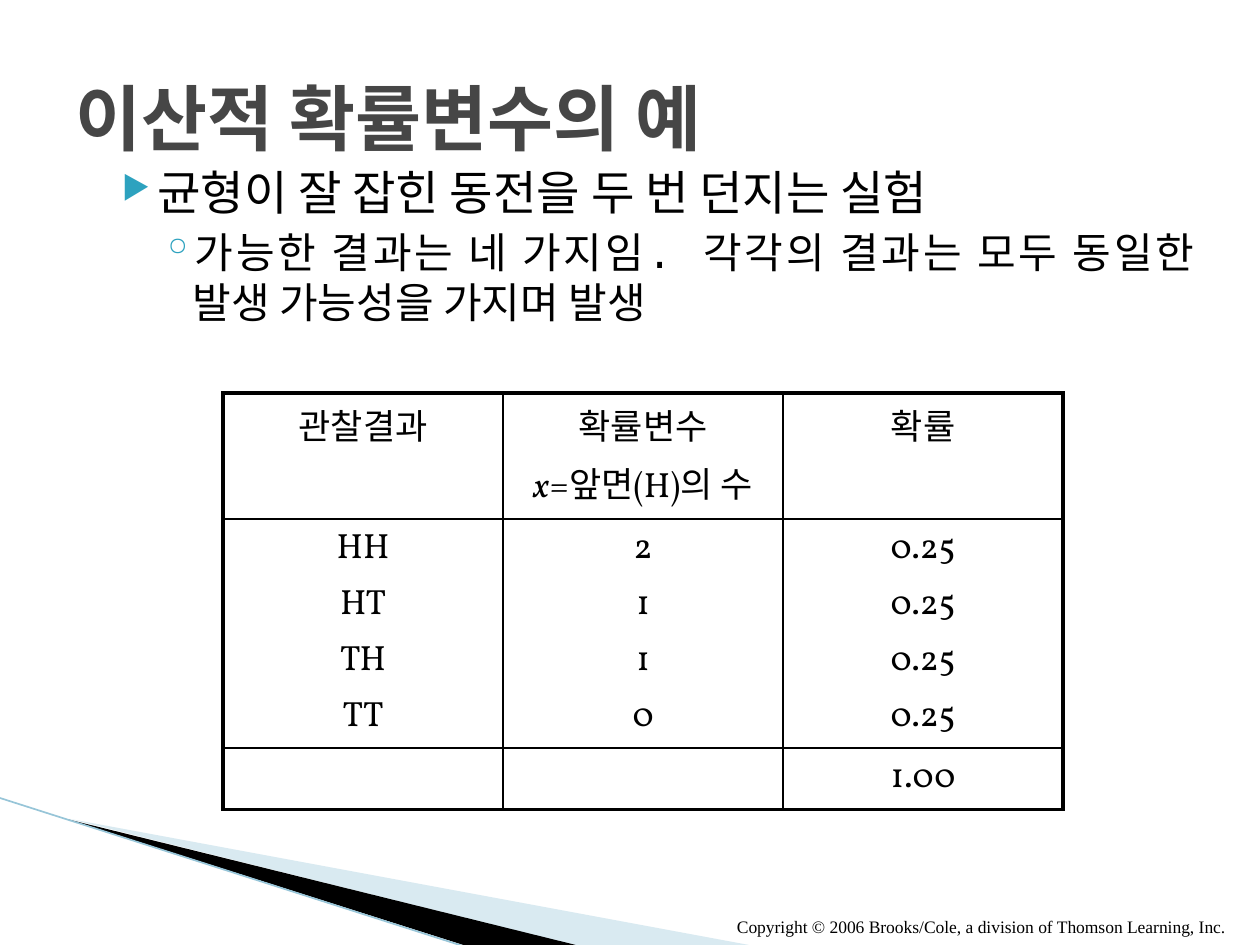
from pptx import Presentation
from pptx.dml.color import RGBColor
from pptx.enum import shapes, text
from pptx.oxml import ns, xmlchemy
from pptx.util import Pt

COLORS = {
    "ink": "000000",
    "title": "464646",
    "bullet": "2DA2BF",
    "pale": "A0CBDC",
    "edge": "97C5D8",
}
CENTER = text.PP_ALIGN.CENTER
JUSTIFY = text.PP_ALIGN.JUSTIFY
OUTER, INNER = 2.25, 1
TABLE = [
    [["관찰결과"], ["확률변수", "x=앞면(H)의 수"], ["확률"]],
    [["HH", "HT", "TH", "TT"], ["2", "1", "1", "0"], ["0.25"] * 4],
    [[], [], ["1.00"]],
]


def color(name):
    return RGBColor.from_string(COLORS[name])


def add_xml(parent, tag, **attributes):
    child = xmlchemy.OxmlElement(tag)
    for key, value in attributes.items():
        child.set(key, str(value))
    parent.append(child)
    return child


def add_wedge(page, points, fill, opacity=None):
    builder = page.shapes.build_freeform(*points[0], scale=Pt(1))
    builder.add_line_segments(points[1:], close=True)
    wedge = builder.convert_to_shape()
    wedge.shadow.inherit = False
    wedge.line.fill.background()
    wedge.fill.solid()
    wedge.fill.fore_color.rgb = color(fill)
    if opacity:
        tone = wedge.fill._xPr.find(ns.qn("a:solidFill"))[0]
        add_xml(tone, "a:alpha", val=opacity * 1000)


def add_line(page, start, end):
    line = page.shapes.add_connector(
        shapes.MSO_CONNECTOR.STRAIGHT, *map(Pt, start + end))
    line.line.color.rgb = color("edge")
    line.line.width = Pt(0.95)
    add_xml(line._element.spPr, "a:effectLst")


def add_box(page, left, top, width, height, anchor=text.MSO_ANCHOR.TOP):
    box = page.shapes.add_textbox(Pt(left), Pt(top), Pt(width), Pt(height))
    frame = box.text_frame
    frame.word_wrap = True
    frame.vertical_anchor = anchor
    return frame


def add_bullet(para, symbol, left, hanging, percent):
    props = para._p.get_or_add_pPr()
    props.set("marL", str(Pt(left)))
    props.set("indent", str(Pt(-hanging)))
    tone = add_xml(props, "a:buClr")
    add_xml(tone, "a:srgbClr", val=COLORS["bullet"])
    add_xml(props, "a:buSzPct", val=percent * 1000)
    add_xml(props, "a:buChar", char=symbol)


def style_font(font, name, size, tone, bold=False, italic=False):
    font.name = name
    font.size = Pt(size)
    font.bold = bold
    font.italic = italic
    font.color.rgb = color(tone)


def write(frame, words, *, font, size, tone="ink", bold=False, align=None,
          before=0, bullet=None, italic_start=0):
    """Fill the first empty paragraph or add one; italic_start counts letters."""
    para = frame.paragraphs[0]
    if para.runs:
        para = frame.add_paragraph()
        para.space_before = Pt(before)
    para.alignment = align
    if bullet:
        add_bullet(para, *bullet)
    parts = [(words[:italic_start], True), (words[italic_start:], False)]
    for part, italic in parts:
        if part:
            span = para.add_run()
            span.text = part
            style_font(span.font, font, size, tone, bold, italic)


def set_borders(cell, widths):
    props = cell._tc.get_or_add_tcPr()
    for place, (side, width) in enumerate(widths.items()):
        border = xmlchemy.OxmlElement(f"a:ln{side}")
        border.set("w", str(Pt(width)))
        fill = add_xml(border, "a:solidFill")
        add_xml(fill, "a:srgbClr", val=COLORS["ink"])
        props.insert(place, border)


def add_outcome_table(page):
    widths, heights = [160] * 3, [72, 131, 35]
    frame = page.shapes.add_table(
        3, 3, Pt(127.5), Pt(224.5), Pt(sum(widths)), Pt(sum(heights)))
    table = frame.table
    table.first_row = table.horz_banding = False
    for column, width in zip(table.columns, widths):
        column.width = Pt(width)
    for r, (height, row) in enumerate(zip(heights, TABLE)):
        table.rows[r].height = Pt(height)
        for c, lines in enumerate(row):
            cell = table.cell(r, c)
            cell.fill.background()
            for line in lines:
                write(cell.text_frame, line, font="Vollkorn", size=20,
                      align=CENTER, before=4,
                      italic_start=int(line.startswith("x")))
            set_borders(cell, {
                "L": OUTER if c == 0 else INNER,
                "R": OUTER if c == 2 else INNER,
                "T": OUTER if r == 0 else INNER,
                "B": OUTER if r == 2 else INNER,
            })


def main():
    deck = Presentation()
    deck.slide_width, deck.slide_height = Pt(720), Pt(540)
    page = deck.slides.add_slide(deck.slide_layouts[6])

    add_wedge(page, [(39.6, 468.4), (428.4, 540.5), (328.3, 540.5)],
              "pale", opacity=40)
    add_wedge(page, [(38.2, 467.5), (329, 540.5), (267.8, 541)], "ink")
    add_line(page, (-0.7, 455.8), (267.1, 541.4))

    notice = add_box(page, 414, 519.8, 306, 20.2)
    write(notice,
          "Copyright © 2006 Brooks/Cole, a division of Thomson Learning, Inc.",
          font="Times New Roman", size=10)

    body = add_box(page, 54, 90, 635.8, 366.5)
    write(body, "균형이 잘 잡힌 동전을 두 번 던지는 실험", font="Courier New",
          size=27, align=JUSTIFY, bullet=("▶", 28.8, 20.2, 68))
    write(body,
          "가능한 결과는 네 가지임. 각각의 결과는 모두 동일한 발생 가능성을 가지며 발생",
          font="Courier New", size=24, align=JUSTIFY, before=3.2,
          bullet=("◦", 49, 18, 100))

    title = add_box(page, 36, 21.6, 648, 90, text.MSO_ANCHOR.MIDDLE)
    write(title, "이산적 확률변수의 예", font="Courier New", size=41,
          tone="title", bold=True)

    add_outcome_table(page)
    deck.save("out.pptx")


if __name__ == "__main__":
    main()
